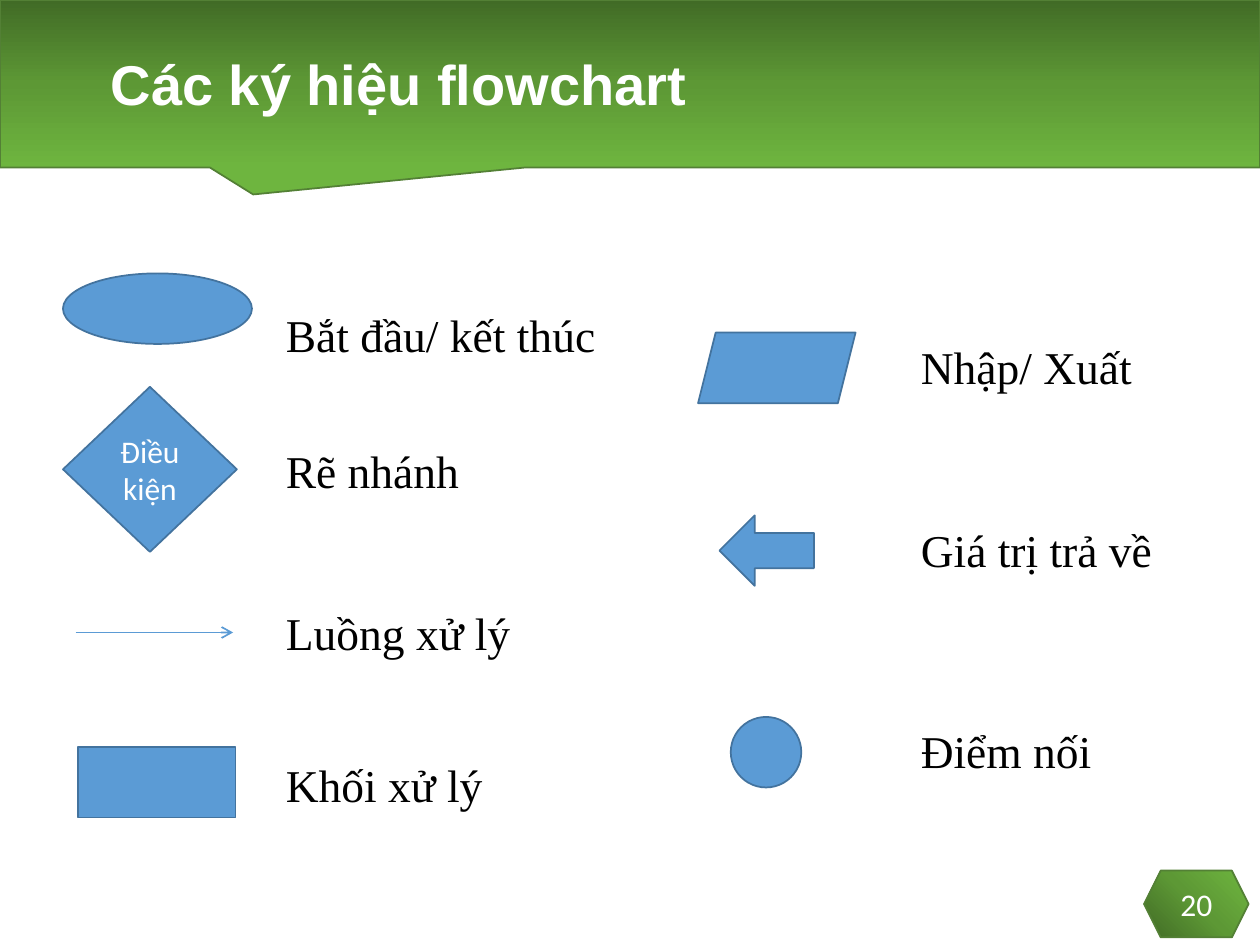
from lxml import etree
from pptx import Presentation
from pptx.dml.color import RGBColor
from pptx.enum.shapes import MSO_CONNECTOR, MSO_SHAPE
from pptx.enum.text import MSO_ANCHOR, MSO_AUTO_SIZE, PP_ALIGN
from pptx.oxml.ns import qn
from pptx.util import Inches, Pt

COLUMNS, ROWS = 10, 7.5
CELL = Inches(1)

ELLIPSE = MSO_SHAPE.OVAL
DIAMOND = MSO_SHAPE.DIAMOND
RECTANGLE = MSO_SHAPE.RECTANGLE
PARALLELOGRAM = MSO_SHAPE.PARALLELOGRAM
LEFT_ARROW = MSO_SHAPE.LEFT_ARROW
HEXAGON = MSO_SHAPE.HEXAGON
CALLOUT = MSO_SHAPE.RECTANGULAR_CALLOUT
STRAIGHT = MSO_CONNECTOR.STRAIGHT
TOP, MIDDLE = MSO_ANCHOR.TOP, MSO_ANCHOR.MIDDLE
LEFT, CENTER = PP_ALIGN.LEFT, PP_ALIGN.CENTER
FIT_SHAPE, NO_FIT = MSO_AUTO_SIZE.SHAPE_TO_FIT_TEXT, MSO_AUTO_SIZE.NONE

COLORS = {
    "symbol": "5B9BD5",
    "symbol_line": "43739E",
    "green_line": "538035",
    "white": "FFFFFF",
    "black": "000000",
}
GREEN_STOPS = [(0, "416B26"), (50, "5D9835"), (100, "6EB53F")]

LABEL_OFFSET, LABEL_HEIGHT = 1.67, 0.54
FLOW = "flow line"

LEFT_SYMBOLS = [
    (ELLIPSE, (0, 0, 1.5, 0.56), "", "Bắt đầu/ kết thúc", 0, 2.75,
     {"line_spacing": 1.5, "space_before": 7.5, "fit": NO_FIT}),
    (DIAMOND, (0, 0.9, 1.38, 1.31), "Điều kiện", "Rẽ nhánh", 1.3, 2.75, {}),
    (FLOW, (0.1, 2.85, 1.25, 0), "", "Luồng xử lý", 2.58, 2.75, {}),
    (RECTANGLE, (0.12, 3.76, 1.25, 0.56), "", "Khối xử lý", 3.79, 2.75, {}),
]
RIGHT_SYMBOLS = [
    (PARALLELOGRAM, (0, 0, 1.25, 0.56), "", "Nhập/ Xuất", 0, 1.94,
     {"space_before": 5.2, "wrap": False}),
    (LEFT_ARROW, (0.17, 1.45, 0.75, 0.56), "", "Giá trị trả về", 1.45, 2.08,
     {"space_before": 5.2, "wrap": False}),
    (ELLIPSE, (0.26, 3.05, 0.56, 0.56), "", "Điểm nối", 3.05, 2.06,
     {"space_before": 5.2, "fit": NO_FIT}),
]


def grid(*cells):
    return [round(cell * CELL) for cell in cells]


def color(name):
    return RGBColor.from_string(COLORS[name])


def write_text(shape, text, font="Calibri", size=18, ink="white", bold=False,
               align=CENTER, anchor=MIDDLE, line_spacing=None,
               space_before=None, wrap=True, fit=NO_FIT):
    frame = shape.text_frame
    frame.word_wrap = wrap
    frame.auto_size = fit
    frame.vertical_anchor = anchor
    paragraph = frame.paragraphs[0]
    paragraph.alignment = align
    if line_spacing is not None:
        paragraph.line_spacing = line_spacing
    if space_before is not None:
        paragraph.space_before = Pt(space_before)
    run = paragraph.add_run()
    run.text = text
    run.font.name = font
    run.font.size = Pt(size)
    run.font.bold = bold
    run.font.color.rgb = color(ink)


def add_symbol(slide, kind, box, line="symbol_line"):
    shape = slide.shapes.add_shape(kind, *grid(*box))
    shape.shadow.inherit = False
    shape.fill.solid()
    shape.fill.fore_color.rgb = color("symbol")
    shape.line.color.rgb = color(line)
    shape.line.width = Pt(1)
    return shape


def fill_green(shape, radial=False):
    shape.fill.gradient()
    gradient = shape.element.spPr.find(qn("a:gradFill"))
    for child in list(gradient):
        gradient.remove(child)
    stops = etree.SubElement(gradient, qn("a:gsLst"))
    for position, value in GREEN_STOPS:
        stop = etree.SubElement(stops, qn("a:gs"), pos=str(position * 1000))
        etree.SubElement(stop, qn("a:srgbClr"), val=value)
    if radial:
        center = etree.SubElement(gradient, qn("a:path"), path="circle")
        etree.SubElement(center, qn("a:fillToRect"), t="100000", r="100000")
    else:
        etree.SubElement(gradient, qn("a:lin"), ang="5400000", scaled="0")


def add_flow_line(slide, box):
    left, top, width, height = box
    connector = slide.shapes.add_connector(
        STRAIGHT, *grid(left, top, left + width, top + height))
    connector.line.color.rgb = color("symbol")
    connector.line.width = Pt(1)
    etree.SubElement(connector.line._get_or_add_ln(), qn("a:tailEnd"), type="arrow")
    etree.SubElement(connector.element.spPr, qn("a:effectLst"))


def add_header(slide, box, title):
    left, top, width, height = box
    banner = add_symbol(slide, CALLOUT, box, "green_line")
    banner.adjustments[0] = -0.299
    banner.adjustments[1] = 0.661
    fill_green(banner)
    heading = slide.shapes.add_textbox(
        *grid(left + 0.78, top + 0.31, width * 0.675, height - 0.56))
    write_text(heading, title, font="Arial", size=32, bold=True, align=LEFT,
               line_spacing=0.9)


def add_page_badge(slide, box, number):
    badge = add_symbol(slide, HEXAGON, box, "green_line")
    fill_green(badge, radial=True)
    write_text(badge, number)


def add_legend(slide, origin, entries):
    left, top = origin
    for kind, symbol_box, caption, label, label_top, label_width, style in entries:
        x, y, width, height = symbol_box
        box = (left + x, top + y, width, height)
        if kind == FLOW:
            add_flow_line(slide, box)
        else:
            symbol = add_symbol(slide, kind, box)
            if caption:
                write_text(symbol, caption)
        label_box = slide.shapes.add_textbox(
            *grid(left + LABEL_OFFSET, top + label_top, label_width, LABEL_HEIGHT))
        label_format = {"fit": FIT_SHAPE, **style}
        write_text(label_box, label, font="Times New Roman", size=26, ink="black",
                   align=LEFT, anchor=TOP, **label_format)


def main():
    presentation = Presentation()
    presentation.slide_width, presentation.slide_height = grid(COLUMNS, ROWS)
    slide = presentation.slides.add_slide(presentation.slide_layouts[6])
    add_header(slide, (0, 0, COLUMNS, 1.33), "Các ký hiệu flowchart")
    add_page_badge(slide, (9.08, 6.91, 0.83, 0.53), "20")
    add_legend(slide, (0.5, 2.17), LEFT_SYMBOLS)
    add_legend(slide, (5.54, 2.64), RIGHT_SYMBOLS)
    presentation.save("out.pptx")


if __name__ == "__main__":
    main()
